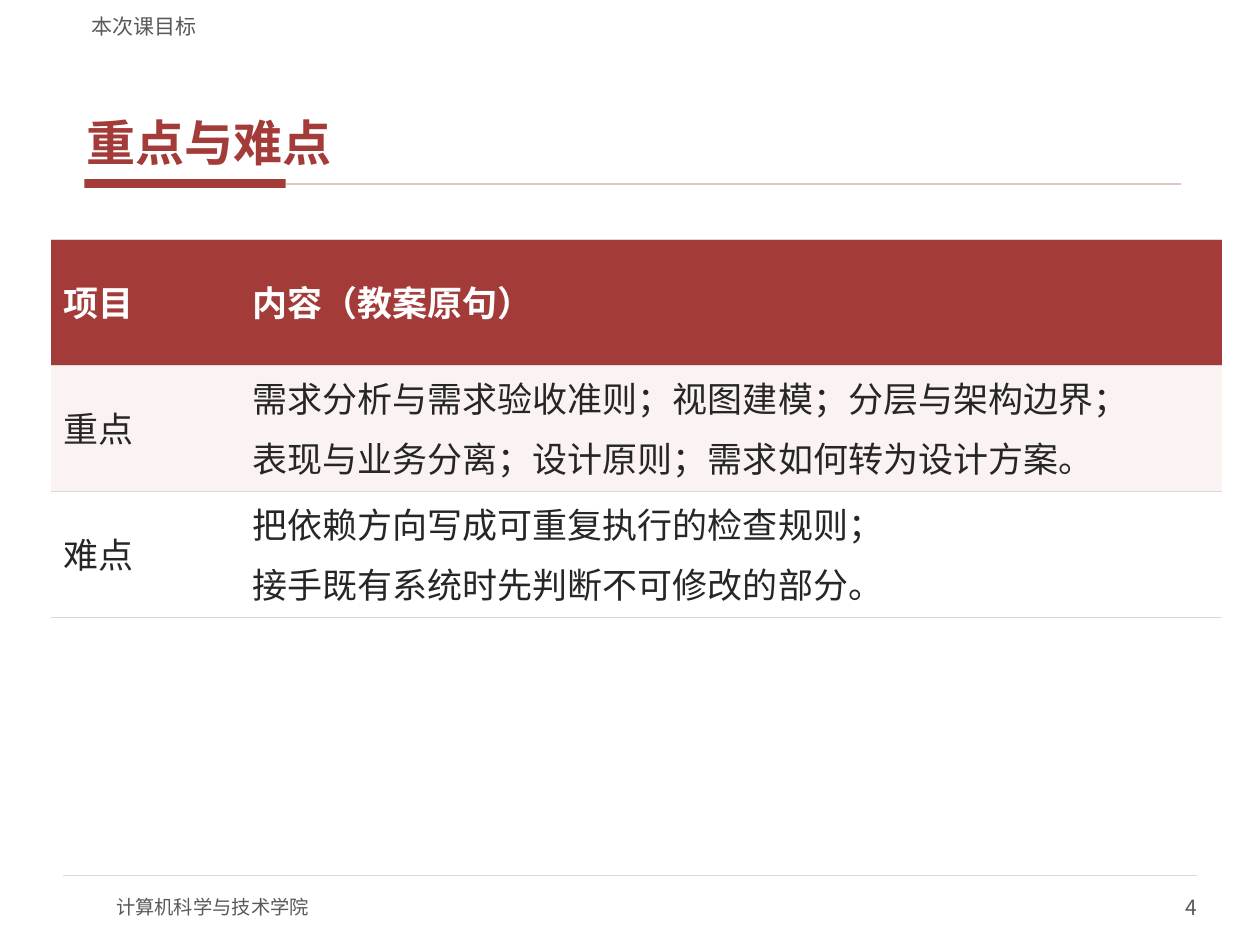
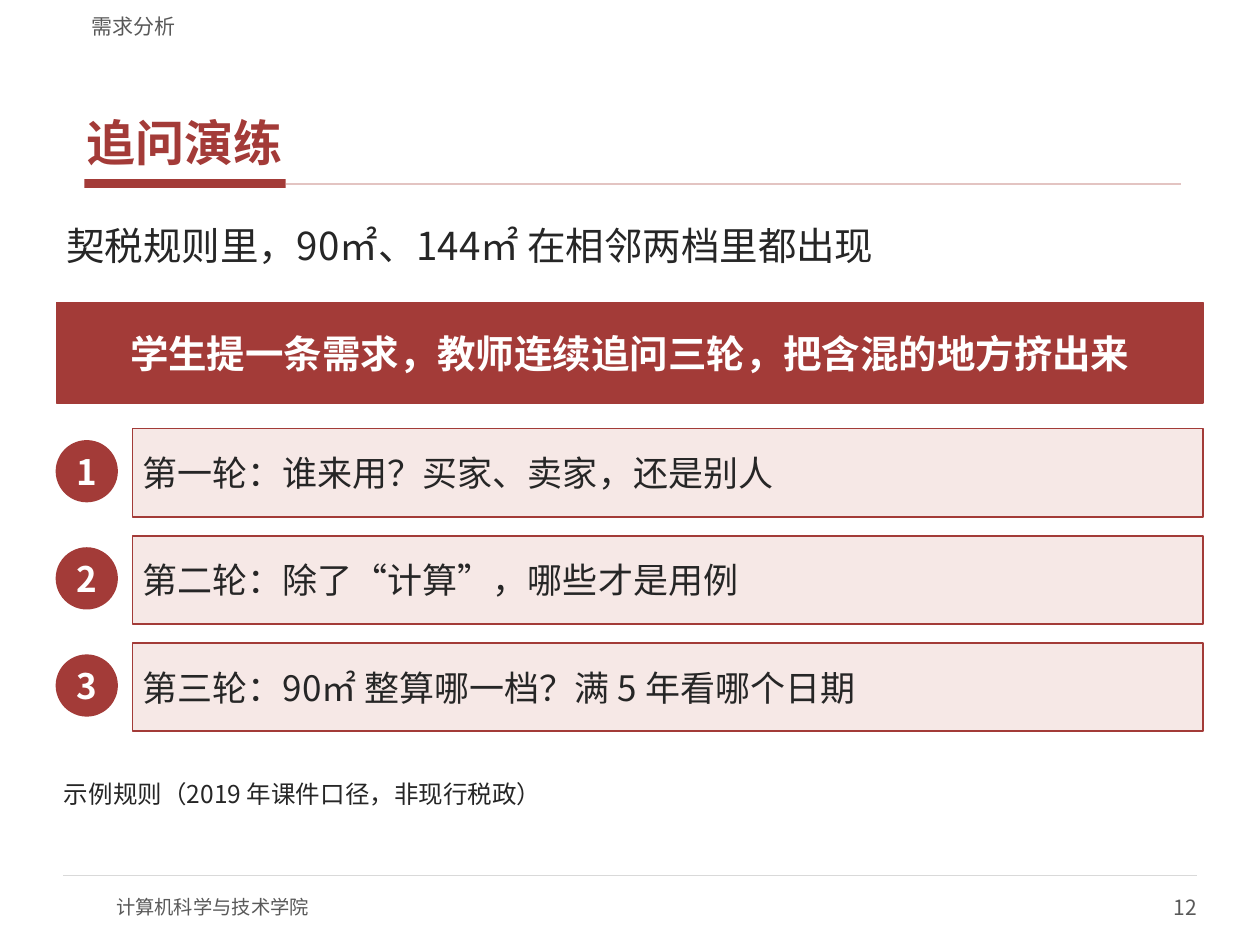
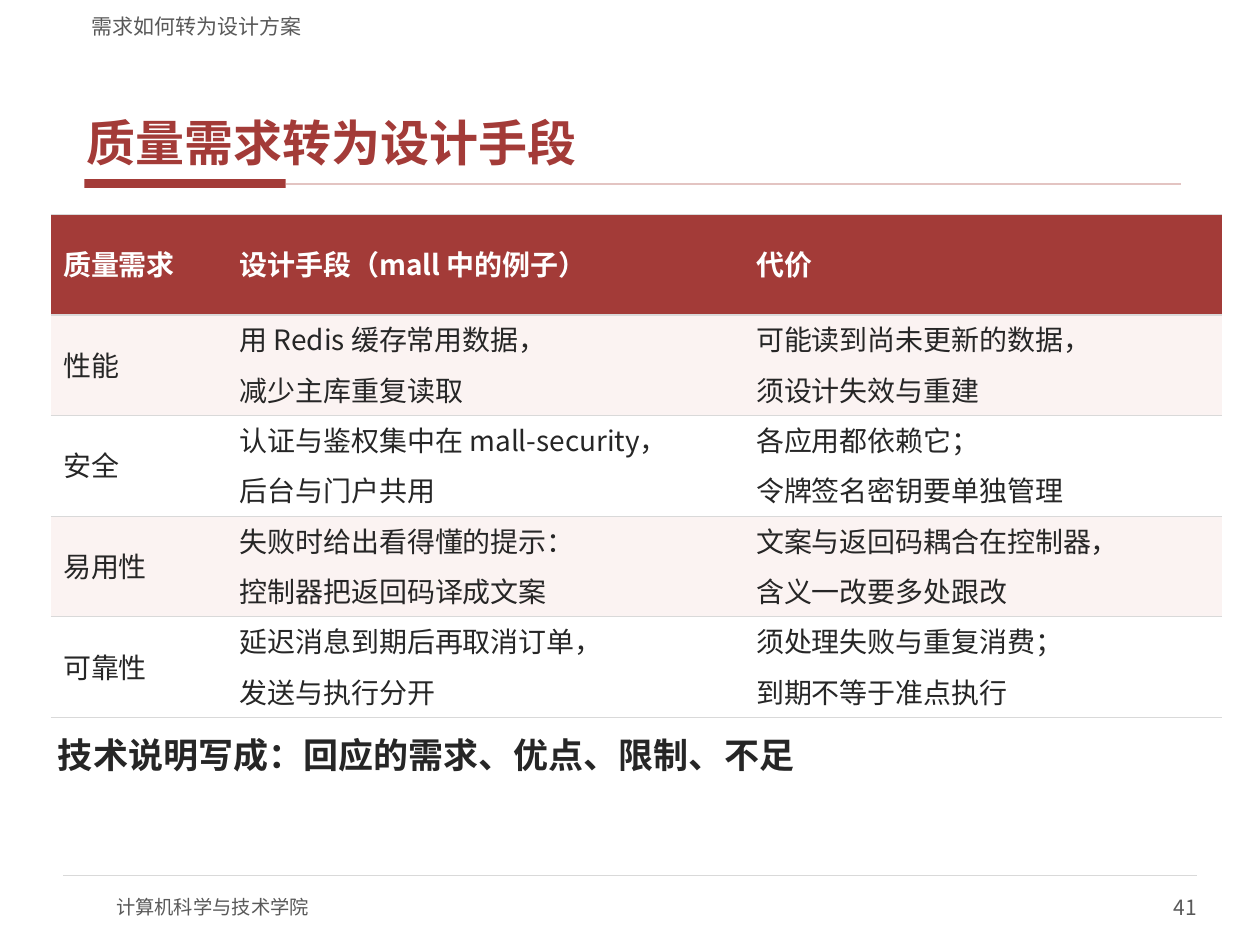
from lxml import etree
from pptx import Presentation
from pptx.dml.color import RGBColor
from pptx.enum.shapes import MSO_CONNECTOR, MSO_SHAPE
from pptx.enum.text import MSO_ANCHOR, PP_ALIGN
from pptx.oxml.ns import qn
from pptx.util import Cm, Pt

RECT, OVAL, STRAIGHT = MSO_SHAPE.RECTANGLE, MSO_SHAPE.OVAL, MSO_CONNECTOR.STRAIGHT
LEFT, CENTER, RIGHT = PP_ALIGN.LEFT, PP_ALIGN.CENTER, PP_ALIGN.RIGHT
TOP, MIDDLE, BOTTOM = MSO_ANCHOR.TOP, MSO_ANCHOR.MIDDLE, MSO_ANCHOR.BOTTOM

FONT = "Noto Sans CJK SC"
RED = RGBColor(0xA3, 0x3B, 0x38)
PALE_RED = RGBColor(0xE3, 0xC4, 0xC2)
PINK = RGBColor(0xF6, 0xE8, 0xE6)
BAND = RGBColor(0xFB, 0xF3, 0xF2)
WHITE = RGBColor(0xFF, 0xFF, 0xFF)
INK = RGBColor(0x26, 0x26, 0x26)
GREY = RGBColor(0x59, 0x59, 0x59)
RULE = RGBColor(0xD9, 0xD9, 0xD9)

NO_INSET, TIGHT, ROOMY = (0, 0), (0.15, 0.05), (0.2, 0.1)


def write(frame, text, size, color, bold=False, align=LEFT):
    """Fill a text frame, one paragraph a line, in the deck's font for Latin and Chinese."""
    frame.text = text
    for paragraph in frame.paragraphs:
        paragraph.alignment = align
        for run in paragraph.runs:
            run.font.name = FONT
            run.font.size = Pt(size)
            run.font.bold = bold
            run.font.color.rgb = color
            etree.SubElement(run.font._element, qn("a:ea"), typeface=FONT)


def add_text(slide, box, text, size, color, bold=False, align=LEFT, anchor=TOP,
             inset=TIGHT, outline=None, fill=None, line=None):
    """Add a text box, or a filled shape with text when an outline is given."""
    left, top, width, height = (Cm(length) for length in box)
    if outline is None:
        shape = slide.shapes.add_textbox(left, top, width, height)
    else:
        shape = slide.shapes.add_shape(outline, left, top, width, height)
        shape.shadow.inherit = False
        shape.fill.solid()
        shape.fill.fore_color.rgb = fill
        shape.line.color.rgb = line
        shape.line.width = Pt(1)
    frame = shape.text_frame
    frame.word_wrap = True
    frame.vertical_anchor = anchor
    frame.margin_left = frame.margin_right = Cm(inset[0])
    frame.margin_top = frame.margin_bottom = Cm(inset[1])
    write(frame, text, size, color, bold, align)


prs = Presentation()
prs.slide_width, prs.slide_height = Cm(25.4), Cm(19.05)
blank = prs.slide_layouts[6]

# Header, title and footer of every slide
pages = [
    ("本次课目标", "重点与难点", "4"),
    ("需求分析", "追问演练", "12"),
    ("需求如何转为设计方案", "质量需求转为设计手段", "41"),
]
rules = [(5.77, 23.8, 3.71, PALE_RED, 1), (1.27, 24.13, 17.65, RULE, 0.75)]

for section, title, number in pages:
    slide = prs.slides.add_slide(blank)
    title_bar = slide.shapes.add_shape(RECT, Cm(1.7), Cm(3.61), Cm(4.06), Cm(0.18))
    title_bar.shadow.inherit = False
    title_bar.fill.solid()
    title_bar.fill.fore_color.rgb = RED
    title_bar.line.fill.background()
    for start, end, y, color, weight in rules:
        rule = slide.shapes.add_connector(STRAIGHT, Cm(start), Cm(y), Cm(end), Cm(y))
        rule.line.color.rgb = color
        rule.line.width = Pt(weight)
        etree.SubElement(rule._element.spPr, qn("a:effectLst"))
    add_text(slide, (1.6, 0.1, 22.23, 0.69), section, 12, GREY, anchor=BOTTOM, inset=(0.25, 0))
    add_text(slide, (1.6, 0.84, 22.23, 2.67), title, 28, RED, bold=True, anchor=BOTTOM)
    add_text(slide, (2.34, 17.78, 10.16, 1.02), "计算机科学与技术学院", 11, GREY,
             anchor=MIDDLE, inset=NO_INSET)
    add_text(slide, (19.05, 17.78, 5.08, 1.02), number, 12, GREY,
             align=RIGHT, anchor=MIDDLE, inset=NO_INSET)

focus_slide, drill_slide, quality_slide = prs.slides

# Tables of key points and of quality requirements
focus_rows = [
    ("项目", "内容（教案原句）"),
    ("重点", "需求分析与需求验收准则；视图建模；分层与架构边界；\n"
             "表现与业务分离；设计原则；需求如何转为设计方案。"),
    ("难点", "把依赖方向写成可重复执行的检查规则；\n接手既有系统时先判断不可修改的部分。"),
]
quality_rows = [
    ("质量需求", "设计手段（mall 中的例子）", "代价"),
    ("性能", "用 Redis 缓存常用数据，\n减少主库重复读取", "可能读到尚未更新的数据，\n须设计失效与重建"),
    ("安全", "认证与鉴权集中在 mall-security，\n后台与门户共用", "各应用都依赖它；\n令牌签名密钥要单独管理"),
    ("易用性", "失败时给出看得懂的提示：\n控制器把返回码译成文案",
     "文案与返回码耦合在控制器，\n含义一改要多处跟改"),
    ("可靠性", "延迟消息到期后再取消订单，\n发送与执行分开", "须处理失败与重复消费；\n到期不等于准点执行"),
]
tables = [
    (focus_slide, focus_rows, 4.83, (3.81, 19.81), 2.54, 20),
    (quality_slide, quality_rows, 4.32, (3.56, 10.41, 9.65), 2.03, 16),
]

for slide, rows, top, widths, row_height, size in tables:
    table = slide.shapes.add_table(
        len(rows), len(widths), Cm(1.02), Cm(top),
        Cm(sum(widths)), Cm(row_height * len(rows))).table
    for column, width in zip(table.columns, widths):
        column.width = Cm(width)
    for r, texts in enumerate(rows):
        table.rows[r].height = Cm(row_height)
        header = r == 0
        row_fill = RED if header else BAND if r % 2 else WHITE
        for c, text in enumerate(texts):
            cell = table.cell(r, c)
            cell.vertical_anchor = MIDDLE
            write(cell.text_frame, text, size, WHITE if header else INK, bold=header)
            for i, paragraph in enumerate(cell.text_frame.paragraphs):
                paragraph.line_spacing = 0.9
                paragraph.space_before = Pt(6 if i else 0)
                paragraph.space_after = Pt(2)
            properties = cell._tc.get_or_add_tcPr()
            for side in ("a:lnL", "a:lnR"):
                etree.SubElement(etree.SubElement(properties, qn(side)), qn("a:noFill"))
            for side in ("a:lnT", "a:lnB"):
                border = etree.SubElement(properties, qn(side), w=str(Pt(0.75)))
                border_fill = etree.SubElement(border, qn("a:solidFill"))
                etree.SubElement(border_fill, qn("a:srgbClr"), val=str(RULE))
            cell.fill.solid()
            cell.fill.fore_color.rgb = row_fill

add_text(quality_slide, (1.02, 14.73, 23.62, 1.27),
         "技术说明写成：回应的需求、优点、限制、不足", 20, INK, bold=True)

# Three rounds of questions
add_text(drill_slide, (1.14, 4.37, 23.11, 1.4),
         "契税规则里，90㎡、144㎡ 在相邻两档里都出现", 22, INK, inset=ROOMY)
add_text(drill_slide, (1.14, 6.1, 23.11, 2.03),
         "学生提一条需求，教师连续追问三轮，把含混的地方挤出来", 22, WHITE, bold=True,
         align=CENTER, anchor=MIDDLE, inset=ROOMY, outline=RECT, fill=RED, line=RED)

rounds = [
    "第一轮：谁来用？买家、卖家，还是别人",
    "第二轮：除了“计算”，哪些才是用例",
    "第三轮：90㎡ 整算哪一档？满 5 年看哪个日期",
]
for i, question in enumerate(rounds):
    top = 8.64 + 2.16 * i
    add_text(drill_slide, (1.14, top + 0.25, 1.22, 1.22), str(i + 1), 20, WHITE, bold=True,
             align=CENTER, anchor=MIDDLE, inset=NO_INSET, outline=OVAL, fill=RED, line=RED)
    add_text(drill_slide, (2.67, top, 21.59, 1.78), question, 20, INK,
             anchor=MIDDLE, inset=ROOMY, outline=RECT, fill=PINK, line=RED)

add_text(drill_slide, (1.14, 15.65, 23.11, 0.76),
         "示例规则（2019 年课件口径，非现行税政）", 14, INK)

prs.save("out.pptx")
